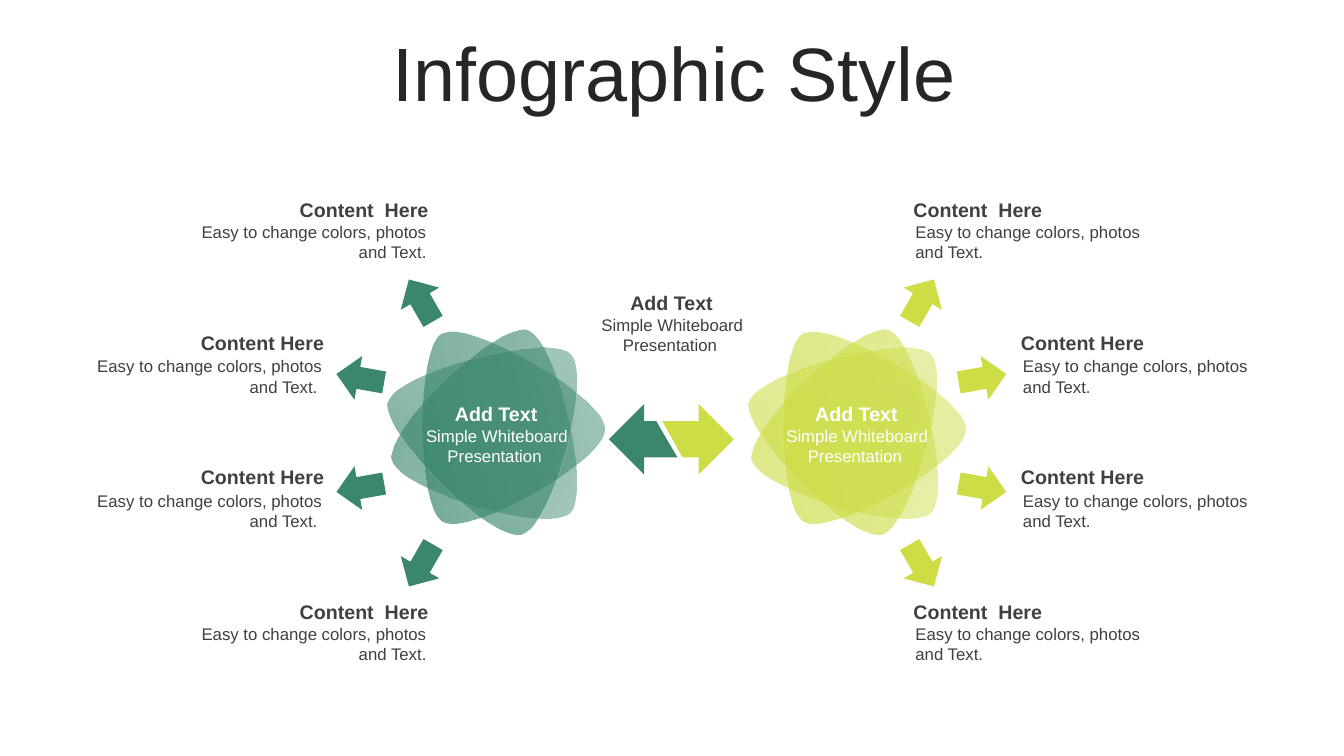
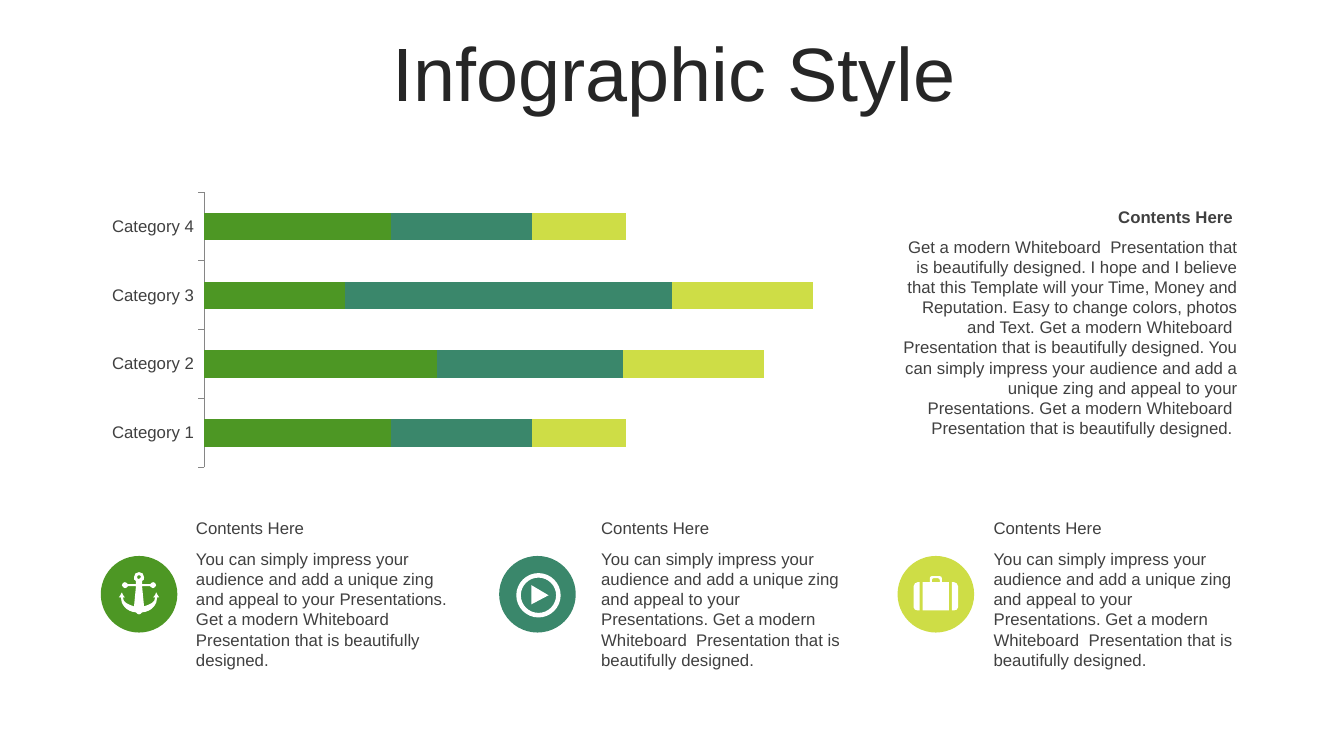
import math
from pptx import Presentation, util as u
from pptx.chart.data import CategoryChartData
from pptx.dml.color import RGBColor
from pptx.enum import chart as ch, shapes, text
from pptx.oxml import parse_xml
from pptx.oxml.ns import nsdecls

# Shared look
GREEN, TEAL, LIME = "4D9724", "3A876B", "CEDD46"
INK, GREY, WHITE, AXIS = "262626", "404040", "FFFFFF", "868686"
TITLE = "Infographic Style"
LEFT, CENTER, RIGHT = text.PP_ALIGN.LEFT, text.PP_ALIGN.CENTER, text.PP_ALIGN.RIGHT
TITLE_FONT = {"size": u.Pt(54), "bold": False}
HEADING_FONT = {"size": u.Pt(14), "bold": True}
BODY_FONT = {"size": u.Pt(12), "bold": False}
BOLD_BODY_FONT = {"size": u.Pt(12), "bold": True}
GRID = 0.0254  # cm per outline unit

# Slide 1, lengths in cm
AXIS_X, AXIS_Y = 16.92, 10.91
EASY = "Easy to change colors, photos and Text."
# heading, heading top, body top, axis, distance from axis, width, space after left body
LABELS = [
    ("Content  Here", 4.86, 5.46, 16.91, 5.86, 6.7, ""),
    ("Content Here", 8.22, 8.85, 16.95, 8.53, 6.25, " "),
    ("Content Here", 11.59, 12.24, 16.95, 8.53, 6.25, " "),
    ("Content  Here", 14.99, 15.6, 16.91, 5.86, 6.7, ""),
]
# distance from axis, rise above or below centre, rotation on the right side
SMALL_ARROWS = [(6.31, -3.34, 30), (7.84, -1.38, 80), (7.84, 1.38, 100), (6.31, 3.34, 150)]
ADD_TEXT = ("Add Text", "Simple Whiteboard Presentation ")
ADD_TEXT_SPOTS = [(10.27, 10.01, WHITE), (19.35, 10.01, WHITE), (14.69, 7.21, GREY)]
STARS = [(12.32, TEAL), (21.4, LIME)]
PETAL_TURNS = [46.5, 0, -45]
# Outlines: (x, y) is a corner, six numbers are a cubic curve
PETAL = [(-45, 78), (-18, 93, 116, 17, 115, -14), (115, -45, -19, -123, -46, -108),
         (-72, -93, -72, 62, -45, 78)]
BIG_ARROWS = [
    (LIME, [(27, -35), (62, 0), (27, 35), (27, 18), (11, 18), (-9, -18), (27, -18)]),
    (TEAL, [(-27, -35), (-27, -18), (-15, -18), (6, 18), (-27, 18), (-27, 35), (-62, 0)]),
]

# Slide 2
CATEGORIES = ["Category 1", "Category 2", "Category 3", "Category 4"]
SERIES = [("Series 1", GREEN, (57, 71, 43, 57)),
          ("Series 2", TEAL, (43, 57, 100, 43)),
          ("Series 3", LIME, (29, 43, 43, 29))]
MODERN = "Get a modern Whiteboard  Presentation that is beautifully designed."
IMPRESS = "You can simply impress your audience and add a unique zing and appeal to your Presentations."
SUMMARY = (f"{MODERN} I hope and I believe that this Template will your Time, Money and "
           f"Reputation. Easy to change colors, photos and Text. {MODERN} {IMPRESS} {MODERN} ")
CIRCLE = 1.93
ANCHOR_HALF = [
    (0, -22), (3, -22, 5, -20, 5, -17), (5, -15, 5, -14, 3, -13), (3, -10), (11, -10),
    (12, -11, 13, -12, 14, -12), (15, -12, 17, -11, 17, -9), (17, -8, 15, -6, 14, -6),
    (13, -6, 12, -7, 11, -8), (3, -8), (5, 12), (11, 10, 16, 8, 16, 3), (14, 3),
    (15, 2, 17, 0, 17, -2), (18, 0, 19, 2, 20, 3), (18, 3), (18, 10, 13, 17, 3, 18),
    (2, 19, 1, 20, 0, 20)]
CASE_SIDE = [(16, -12), (18, -12), (20, -12, 22, -10, 22, -8), (22, 13),
             (22, 15, 20, 16, 18, 16), (16, 16)]
CASE_HALF = [(4, -18), (5, -18, 6, -17, 6, -16), (6, -12), (13, -12), (13, 16)]
HANDLE_HALF = [(2, -16), (3, -16, 4, -15, 4, -14), (4, -12)]


def rgb(value):
    return RGBColor.from_string(value)


def set_font(font, values, color):
    for name, value in {"name": "Arial", **values}.items():
        setattr(font, name, value)
    font.color.rgb = rgb(color)


def add_text(page, words, left, top, width, height, values, color=GREY, align=LEFT):
    box = page.shapes.add_textbox(*map(u.Cm, (left, top, width, height)))
    box.text_frame.word_wrap = True
    para = box.text_frame.paragraphs[0]
    para.alignment = align
    span = para.add_run()
    span.text = words
    set_font(span.font, values, color)
    return box


def add_page(deck):
    page = deck.slides.add_slide(deck.slide_layouts[6])
    box = add_text(page, TITLE, 0.91, 0.94, 32.16, 2.01, TITLE_FONT, INK, CENTER)
    box.text_frame.vertical_anchor = text.MSO_ANCHOR.MIDDLE
    box.text_frame.paragraphs[0].line_spacing = 0.9
    return page


def paint(shape, color):
    shape.shadow.inherit = False
    shape.fill.solid()
    shape.fill.fore_color.rgb = rgb(color)
    shape.line.fill.background()


def paint_fading(shape, color, angle):
    """Fill with one colour that goes from 70 to 46 percent opacity."""
    paint(shape, color)
    stops = "".join(
        f'<a:gs pos="{place}"><a:srgbClr val="{color}"><a:alpha val="{alpha}"/></a:srgbClr></a:gs>'
        for place, alpha in ((0, 70000), (100000, 46000)))
    gradient = parse_xml(
        f'<a:gradFill {nsdecls("a")} rotWithShape="1"><a:gsLst>{stops}</a:gsLst>'
        f'<a:lin ang="{round(angle % 360 * 60000)}" scaled="0"/></a:gradFill>')
    solid = shape._element.spPr.find("{*}solidFill")
    solid.getparent().replace(solid, gradient)


def pairs(part):
    return list(zip(part[::2], part[1::2]))


def flip(outline):
    """Mirror an outline left to right and run it backwards."""
    points = [point for part in outline for point in pairs(part)]
    mirrored = iter([(-x, y) for x, y in reversed(points)])
    sizes = [1] + [len(part) // 2 for part in reversed(outline[1:])]
    return [sum((next(mirrored) for _ in range(size)), ()) for size in sizes]


def symmetric(half):
    return half + flip(half)


def ring(x, y, radius):
    bend = radius * 0.55
    east = (radius, bend, bend, radius, 0, radius)
    quarters = [turn_part(east, 90 * i) for i in range(4)]
    return [(x + radius, y)] + [
        sum(((x + px, y + py) for px, py in pairs(part)), ()) for part in quarters]


def turn_part(part, degrees):
    c, s = math.cos(math.radians(degrees)), math.sin(math.radians(degrees))
    return sum(((x * c - y * s, x * s + y * c) for x, y in pairs(part)), ())


def add_outline(page, contours, x, y):
    """Draw closed contours, given in grid units around the point x, y."""
    placed = [[(u.Cm(x + px * GRID), u.Cm(y + py * GRID))
               for part in contour for px, py in pairs(part)] for contour in contours]
    builder = page.shapes.build_freeform(*placed[0][0], scale=1.0)
    for index, points in enumerate(placed):
        if index:
            builder.move_to(*points[0])
        builder.add_line_segments(points[1:], close=True)
    shape = builder.convert_to_shape()
    lines = iter(list(shape._element.iter("{*}lnTo")))
    for part in (part for contour in contours for part in contour[1:]):
        line = next(lines)
        if len(part) == 6:
            curve = parse_xml(f'<a:cubicBezTo {nsdecls("a")}/>')
            line.addprevious(curve)
            for old in (line, next(lines), next(lines)):
                curve.append(old[0])
                old.getparent().remove(old)
    return shape


def add_star(page, x, color):
    for index, degrees in enumerate(PETAL_TURNS):
        outline = [turn_part(part, degrees) for part in PETAL]
        petal = add_outline(page, [outline], x + 0.23 * (index - 1), 11.15 + 0.1 * (index - 1))
        paint_fading(petal, color, 345 + degrees)


def add_side(page, side, color, align):
    """Draw the arrows and labels left (-1) or right (1) of the axis."""
    width, height = 1.12, 1.22
    for distance, rise, rotation in SMALL_ARROWS:
        arrow = page.shapes.add_shape(
            shapes.MSO_SHAPE.UP_ARROW, u.Cm(AXIS_X + side * distance - width / 2),
            u.Cm(AXIS_Y + rise - height / 2), u.Cm(width), u.Cm(height))
        arrow.rotation = side * rotation % 360
        paint(arrow, color)
    for heading, heading_top, body_top, axis, distance, wide, tail in LABELS:
        body = EASY + (tail if side < 0 else "")
        rows = ((heading, heading_top, distance, 0.86, HEADING_FONT),
                (body, body_top, distance + 0.05, 1.27, BODY_FONT))
        for words, top, gap, tall, font in rows:
            left = axis + gap if side > 0 else axis - gap - wide
            add_text(page, words, left, top, wide, tall, font, align=align)


def build_stars(deck):
    page = add_page(deck)
    for x, color in STARS:
        add_star(page, x, color)
    for color, points in BIG_ARROWS:
        paint(add_outline(page, [points], AXIS_X, 11.07), color)
    add_side(page, -1, TEAL, RIGHT)
    add_side(page, 1, LIME, LEFT)
    heading, body = ADD_TEXT
    for left, top, color in ADD_TEXT_SPOTS:
        add_text(page, heading, left, top, 4.47, 0.86, HEADING_FONT, color, CENTER)
        add_text(page, body, left + 0.02, top + 0.6, 4.47, 1.27, BODY_FONT, color, CENTER)


def add_bars(page):
    data = CategoryChartData()
    data.categories = CATEGORIES
    for name, _, values in SERIES:
        data.add_series(name, values)
    chart = page.shapes.add_chart(ch.XL_CHART_TYPE.BAR_STACKED,
                                  *map(u.Cm, (2.43, 4.7, 19.61, 7.22)), data).chart
    chart.has_legend = chart.has_title = False
    set_font(chart.font, BODY_FONT, GREY)
    plot = chart.plots[0]
    plot.gap_width, plot.overlap, plot.vary_by_categories = 150, 100, False
    for series, (_, color, _) in zip(plot.series, SERIES):
        series.format.fill.solid()
        series.format.fill.fore_color.rgb = rgb(color)
    values = chart.value_axis
    values.visible = values.has_major_gridlines = False
    values.minimum_scale, values.maximum_scale = 0, 200
    names = chart.category_axis
    names.major_tick_mark = ch.XL_TICK_MARK.OUTSIDE
    names.format.line.color.rgb = rgb(AXIS)
    names.format.line.width = u.Pt(0.75)
    set_font(names.tick_labels.font, BODY_FONT, GREY)


def build_chart(deck):
    page = add_page(deck)
    add_bars(page)
    add_text(page, "Contents Here ", 22.37, 5.08, 9.07, 0.76, BOLD_BODY_FONT, align=RIGHT)
    add_text(page, SUMMARY, 22.37, 5.83, 9.07, 5.38, BODY_FONT, align=RIGHT)
    anchor = [symmetric(ANCHOR_HALF), ring(0, -17, 2)]
    play = [ring(1, 1, 22), ring(1, 1, 17.5), [(-6, -9), (11, 1), (-6, 10)]]
    suitcase = [CASE_SIDE, flip(CASE_SIDE), symmetric(CASE_HALF), symmetric(HANDLE_HALF)]
    columns = [(GREEN, anchor, 4.69, 6.96), (TEAL, play, 14.9, 6.65),
               (LIME, suitcase, 24.79, 6.65)]
    for index, (color, icon, left, width) in enumerate(columns):
        x, y = 2.54 + 10.04 * index, 14.01
        circle = page.shapes.add_shape(shapes.MSO_SHAPE.OVAL,
                                       *map(u.Cm, (x, y, CIRCLE, CIRCLE)))
        paint(circle, color)
        paint(add_outline(page, icon, x + CIRCLE / 2, y + CIRCLE / 2), WHITE)
        add_text(page, "Contents Here", left, 12.92, width, 0.76, BODY_FONT)
        add_text(page, f"{IMPRESS} {MODERN}", left, 13.7, width, 3.33, BODY_FONT)


def main():
    deck = Presentation()
    deck.slide_width, deck.slide_height = u.Cm(33.87), u.Cm(19.05)
    build_stars(deck)
    build_chart(deck)
    deck.save("out.pptx")


if __name__ == "__main__":
    main()
